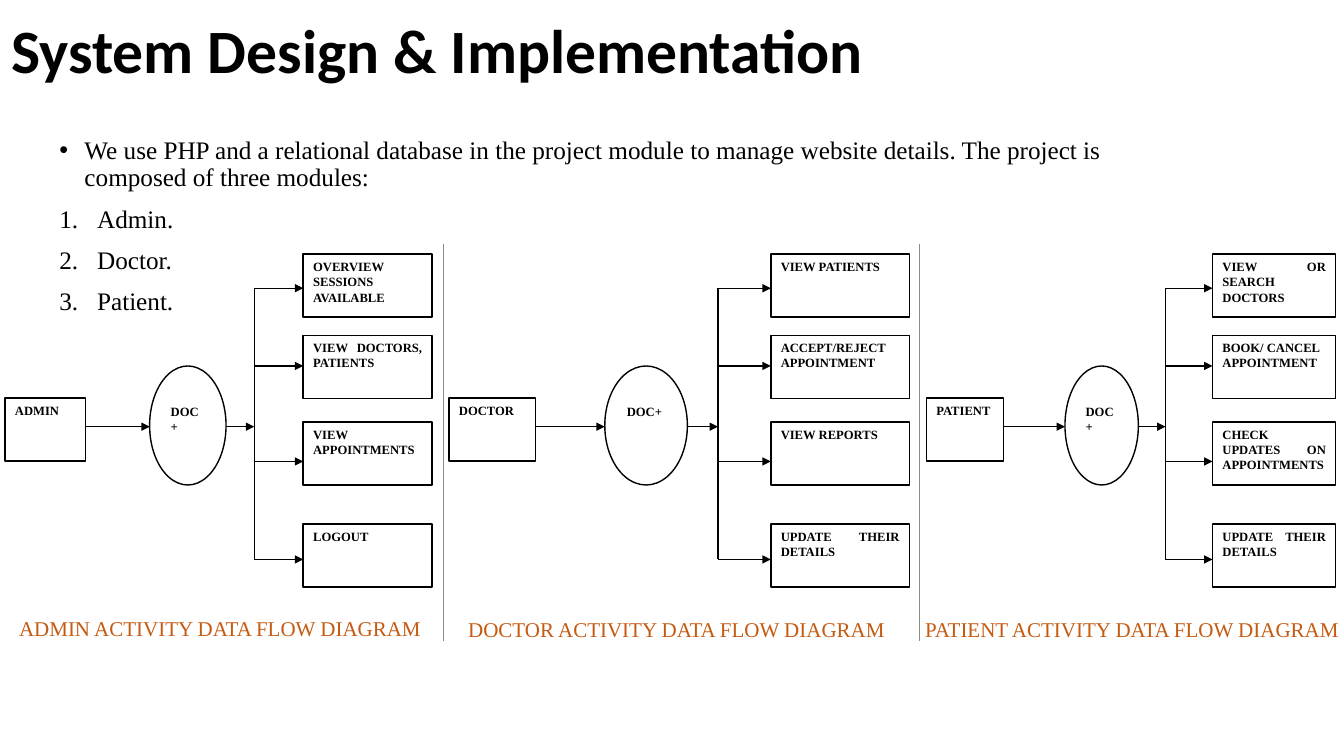
"""Build the System Design & Implementation slide with three data flow diagrams."""
import dataclasses

import pptx
import pptx.dml.color
import pptx.enum.shapes
import pptx.enum.text
import pptx.oxml
import pptx.oxml.ns
import pptx.util

Pt = pptx.util.Pt
RGB = pptx.dml.color.RGBColor.from_string
SHAPE = pptx.enum.shapes.MSO_SHAPE
ALIGN = pptx.enum.text.PP_ALIGN
ANCHOR = pptx.enum.text.MSO_ANCHOR
NS = pptx.oxml.ns.nsdecls("a")


@dataclasses.dataclass(frozen=True)
class Theme:
    ink: str = "000000"
    paper: str = "FFFFFF"
    caption: str = "C55A11"
    divider: str = "8C8C8C"
    heading_font: str = "Calibri"
    body_font: str = "Times New Roman"
    title_size: int = 44
    body_size: int = 18
    caption_size: int = 15
    label_size: int = 9


theme = Theme()
presentation = pptx.Presentation()
presentation.slide_width = Pt(960)
presentation.slide_height = Pt(540)
slide = presentation.slides.add_slide(presentation.slide_layouts[6])


def write(holder, lines, size, color=theme.ink, font=theme.body_font, bold=False, align=ALIGN.LEFT):
    frame = holder.text_frame
    frame.word_wrap = True
    frame.text = "\n".join(lines)
    for paragraph in frame.paragraphs:
        paragraph.alignment = align
        for run in paragraph.runs:
            run.font.name = font
            run.font.size = Pt(size)
            run.font.bold = bold
            run.font.color.rgb = RGB(color)
    return frame


def draw_line(x1, y1, x2, y2, color=theme.ink, weight=1, arrow=False):
    line = slide.shapes.add_connector(
        pptx.enum.shapes.MSO_CONNECTOR.STRAIGHT, Pt(x1), Pt(y1), Pt(x2), Pt(y2))
    line.line.color.rgb = RGB(color)
    line.line.width = Pt(weight)
    if arrow:
        line.line._get_or_add_ln().append(
            pptx.oxml.parse_xml(f'<a:tailEnd {NS} type="triangle"/>'))
    line._element.spPr.append(pptx.oxml.parse_xml(f"<a:effectLst {NS}/>"))


title = slide.shapes.add_textbox(Pt(1), Pt(-14), Pt(828), Pt(104.4))
title_frame = write(title, ["System Design & Implementation"], theme.title_size,
                    font=theme.heading_font, bold=True)
title_frame.vertical_anchor = ANCHOR.MIDDLE
title_frame.paragraphs[0].line_spacing = 0.9

modules = slide.shapes.add_textbox(Pt(35.3), Pt(95), Pt(828), Pt(342.7))
modules_frame = write(modules, [
    "We use PHP and a relational database in the project module to manage website details. "
    "The project is composed of three modules:",
    "Admin.", "Doctor.", "Patient."], theme.body_size)
for number, paragraph in enumerate(modules_frame.paragraphs):
    paragraph.line_spacing = 0.9
    paragraph.space_before = Pt(10)
    indent = Pt(27 if number else 18)
    properties = paragraph._p.get_or_add_pPr()
    properties.set("marL", str(indent))
    properties.set("indent", str(-indent))
    font_mark = f'<a:buFont {NS} typeface="{theme.body_font if number else "Arial"}"/>'
    bullet = f'<a:buAutoNum {NS} type="arabicPeriod"/>' if number else f'<a:buChar {NS} char="•"/>'
    for mark in (font_mark, bullet):
        properties.append(pptx.oxml.parse_xml(mark))

BOX_HEIGHT = 45
FLOW_Y = 304.8
ACTION_TOPS = (181.6, 239.5, 301.5, 374.4)
ARROW_YS = (205.9, 261.4, 329.6, 399.6)

flows = [
    (("ADMIN", 3.6, 57.6), (106.9, 54.6), 181.6, (216.6, 91.9),
     ["OVERVIEW SESSIONS AVAILABLE", "VIEW DOCTORS, PATIENTS", "VIEW APPOINTMENTS", "LOGOUT"]),
    (("DOCTOR", 320.7, 62), (432, 59), 512.8, (550.6, 98.9),
     ["VIEW PATIENTS", "ACCEPT/REJECT APPOINTMENT", "VIEW REPORTS", "UPDATE THEIR DETAILS"]),
    (("PATIENT", 661.7, 55.2), (760.7, 52.4), 832.5, (866.1, 88),
     ["VIEW OR SEARCH DOCTORS", "BOOK/ CANCEL\nAPPOINTMENT",
      "CHECK UPDATES ON APPOINTMENTS", "UPDATE THEIR DETAILS"]),
]
for (actor, actor_left, actor_width), (process_left, process_width), branch_x, \
        (action_left, action_width), actions in flows:
    nodes = [(SHAPE.RECTANGLE, actor, actor_left, 284.4, actor_width, BOX_HEIGHT),
             (SHAPE.OVAL, "DOC+", process_left, 261.4, process_width, 85)]
    nodes += [(SHAPE.RECTANGLE, action, action_left, top, action_width, BOX_HEIGHT)
              for action, top in zip(actions, ACTION_TOPS)]
    for outline, label, left, top, width, height in nodes:
        node = slide.shapes.add_shape(outline, Pt(left), Pt(top), Pt(width), Pt(height))
        node.shadow.inherit = False
        node.fill.solid()
        node.fill.fore_color.rgb = RGB(theme.paper)
        node.line.color.rgb = RGB(theme.ink)
        node.line.width = Pt(1)
        label_frame = write(node, label.split("\n"), theme.label_size,
                            bold=True, align=ALIGN.JUSTIFY)
        label_frame.vertical_anchor = ANCHOR.TOP
        if outline == SHAPE.OVAL:
            label_frame.margin_top = Pt(14.4)
    draw_line(actor_left + actor_width, FLOW_Y, process_left, FLOW_Y, arrow=True)
    draw_line(process_left + process_width, FLOW_Y, branch_x, FLOW_Y, arrow=True)
    draw_line(branch_x, ARROW_YS[0], branch_x, ARROW_YS[-1])
    for arrow_y in ARROW_YS:
        draw_line(branch_x, arrow_y, action_left, arrow_y, arrow=True)

for actor, left, top, width, inset in (("ADMIN", 0, 436.3, 326, 13.6),
                                       ("DOCTOR", 319.7, 437, 334, 14.7),
                                       ("PATIENT", 650.2, 437, 309.8, 10.6)):
    caption = slide.shapes.add_textbox(Pt(left), Pt(top), Pt(width), Pt(25.4))
    caption_frame = write(caption, [f"{actor} ACTIVITY DATA FLOW DIAGRAM"],
                          theme.caption_size, theme.caption)
    caption_frame.margin_left = Pt(inset)
    caption_frame.margin_right = Pt(0)

for divider_x in (316.8, 656.8):
    draw_line(divider_x, 174.2, divider_x, 457.9, theme.divider, 0.5)

presentation.save("out.pptx")
